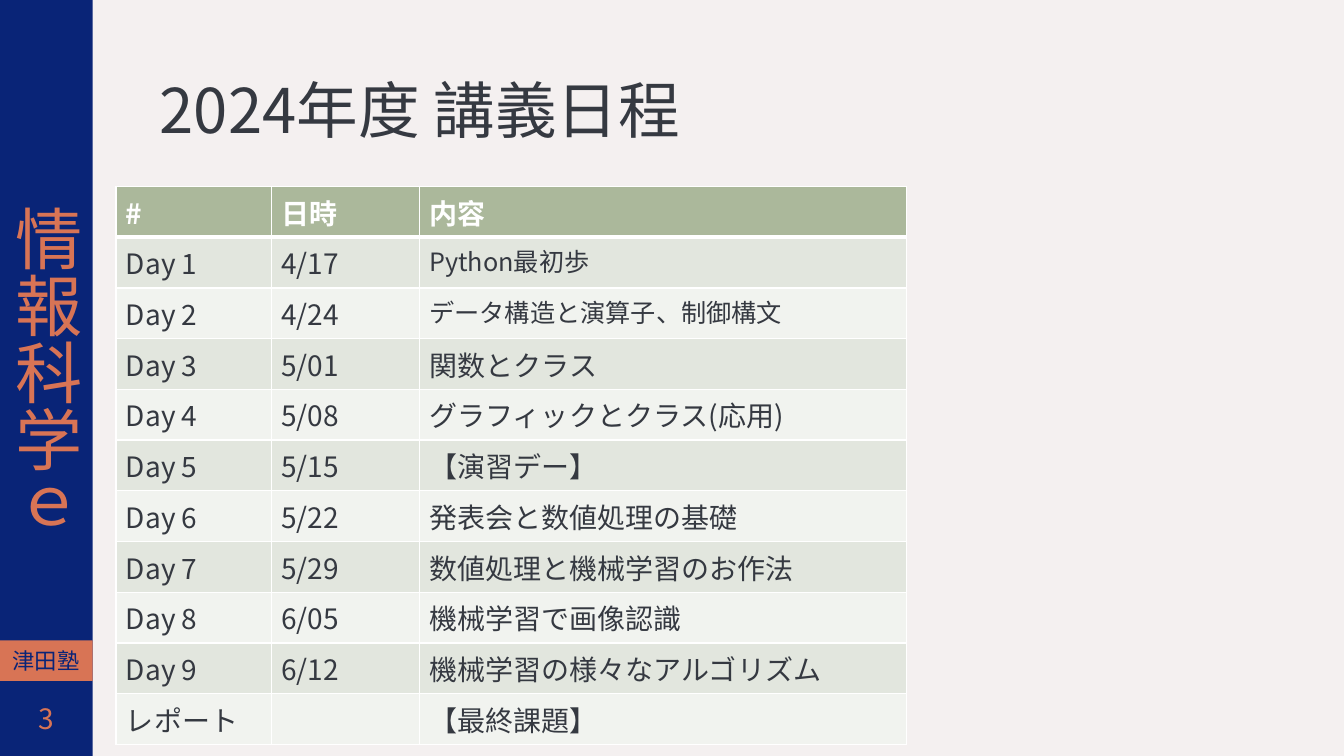
from lxml import etree
from pptx import Presentation
from pptx import util as u
from pptx.dml import color
from pptx.enum import shapes, text
from pptx.oxml import ns

COLORS = {
    "page": "F4F0F0",
    "navy": "092477",
    "orange": "D87455",
    "ink": "353941",
    "white": "FFFFFF",
    "header": "ABB89B",
    "odd": "E2E6DE",
    "even": "F1F3EF",
}
FONT = "Noto Sans CJK JP"
SIDEBAR = 66.25
HEADINGS = ("#", "日時", "内容")
LECTURES = [
    ("4/17", "Python最初歩"),
    ("4/24", "データ構造と演算子、制御構文"),
    ("5/01", "関数とクラス"),
    ("5/08", "グラフィックとクラス(応用)"),
    ("5/15", "【演習デー】"),
    ("5/22", "発表会と数値処理の基礎"),
    ("5/29", "数値処理と機械学習のお作法"),
    ("6/05", "機械学習で画像認識"),
    ("6/12", "機械学習の様々なアルゴリズム"),
]


def rgb(name):
    return color.RGBColor.from_string(COLORS[name])


def write(frame, words, size=20, ink="ink", bold=False,
          align=text.PP_ALIGN.LEFT, spacing=None):
    para = frame.paragraphs[0]
    para.alignment = align
    para.line_spacing = spacing
    span = para.add_run()
    span.text = words
    span.font.size = u.Pt(size)
    span.font.bold = bold
    span.font.name = FONT
    span.font.color.rgb = rgb(ink)
    properties = span.font._element
    etree.SubElement(properties, ns.qn("a:ea"), typeface=FONT)


class SlideBuilder:
    def __init__(self, page):
        self.page = page
        page.background.fill.solid()
        page.background.fill.fore_color.rgb = rgb("page")

    def label(self, words, left, top, width, height, right_inset=7.2, **style):
        box = self.page.shapes.add_textbox(*map(u.Pt, (left, top, width, height)))
        frame = box.text_frame
        frame.word_wrap = True
        frame.vertical_anchor = text.MSO_ANCHOR.MIDDLE
        frame.margin_right = u.Pt(right_inset)
        write(frame, words, **style)

    def band(self, words, left, top, width, height, fill, vertical=False, **style):
        box = self.page.shapes.add_shape(
            shapes.MSO_SHAPE.RECTANGLE, *map(u.Pt, (left, top, width, height)))
        box.shadow.inherit = False
        box.fill.solid()
        box.fill.fore_color.rgb = rgb(fill)
        box.line.fill.background()
        frame = box.text_frame
        frame.word_wrap = True
        frame.vertical_anchor = text.MSO_ANCHOR.MIDDLE
        if vertical:
            frame._txBody.bodyPr.set("vert", "eaVert")
            frame.margin_top = frame.margin_bottom = u.Pt(146.5)
        else:
            frame.margin_left = u.Pt(9)
        write(frame, words, **style)

    def border(self, cell, side, width):
        properties = cell._tc.get_or_add_tcPr()
        line = etree.SubElement(properties, ns.qn(f"a:ln{side}"), w=str(u.Pt(width)))
        fill = etree.SubElement(line, ns.qn("a:solidFill"))
        etree.SubElement(fill, ns.qn("a:srgbClr"), val=COLORS["white"])

    def table(self, rows, left, top, widths, row_height):
        frame = self.page.shapes.add_table(
            len(rows), len(widths), u.Pt(left), u.Pt(top),
            u.Pt(sum(widths)), u.Pt(row_height * len(rows)))
        grid = frame.table
        for column, width in zip(grid.columns, widths):
            column.width = u.Pt(width)
        for r, row in enumerate(rows):
            grid.rows[r].height = u.Pt(row_height)
            header = r == 0
            fill = "header" if header else "odd" if r % 2 else "even"
            for c, words in enumerate(row):
                cell = grid.cell(r, c)
                for side in "LRTB":
                    thick = (r, side) in ((0, "B"), (1, "T"))
                    self.border(cell, side, 3 if thick else 1)
                cell.fill.solid()
                cell.fill.fore_color.rgb = rgb(fill)
                if words:
                    write(cell.text_frame, words,
                          size=18 if c == 2 and r in (1, 2) else 20,
                          ink="white" if header else "ink", bold=header)
                else:
                    cell.text_frame.paragraphs[0].font.size = u.Pt(20)


def main():
    deck = Presentation()
    deck.slide_width, deck.slide_height = u.Pt(960), u.Pt(540)
    slide = SlideBuilder(deck.slides.add_slide(deck.slide_layouts[6]))
    slide.band("情報科学ｅ", 0, 0, SIDEBAR, 540, "navy", vertical=True,
               size=48, ink="orange", align=text.PP_ALIGN.CENTER)
    slide.label("2024年度 講義日程", 107, 28.75, 787, 104.4, size=44, spacing=0.9)
    days = [(f"Day {number}", *lecture) for number, lecture in enumerate(LECTURES, 1)]
    slide.table([HEADINGS, *days, ("レポート", "", "【最終課題】")],
                82.8, 133.2, (110.9, 105.8, 347.8), 36.23)
    slide.band("津田塾", 0, 457.5, SIDEBAR, 28.8, "orange", size=16, ink="navy")
    slide.label("3", 0, 486.7, SIDEBAR, 53.3, right_inset=27.7,
                ink="orange", align=text.PP_ALIGN.RIGHT)
    deck.save("out.pptx")


if __name__ == "__main__":
    main()
